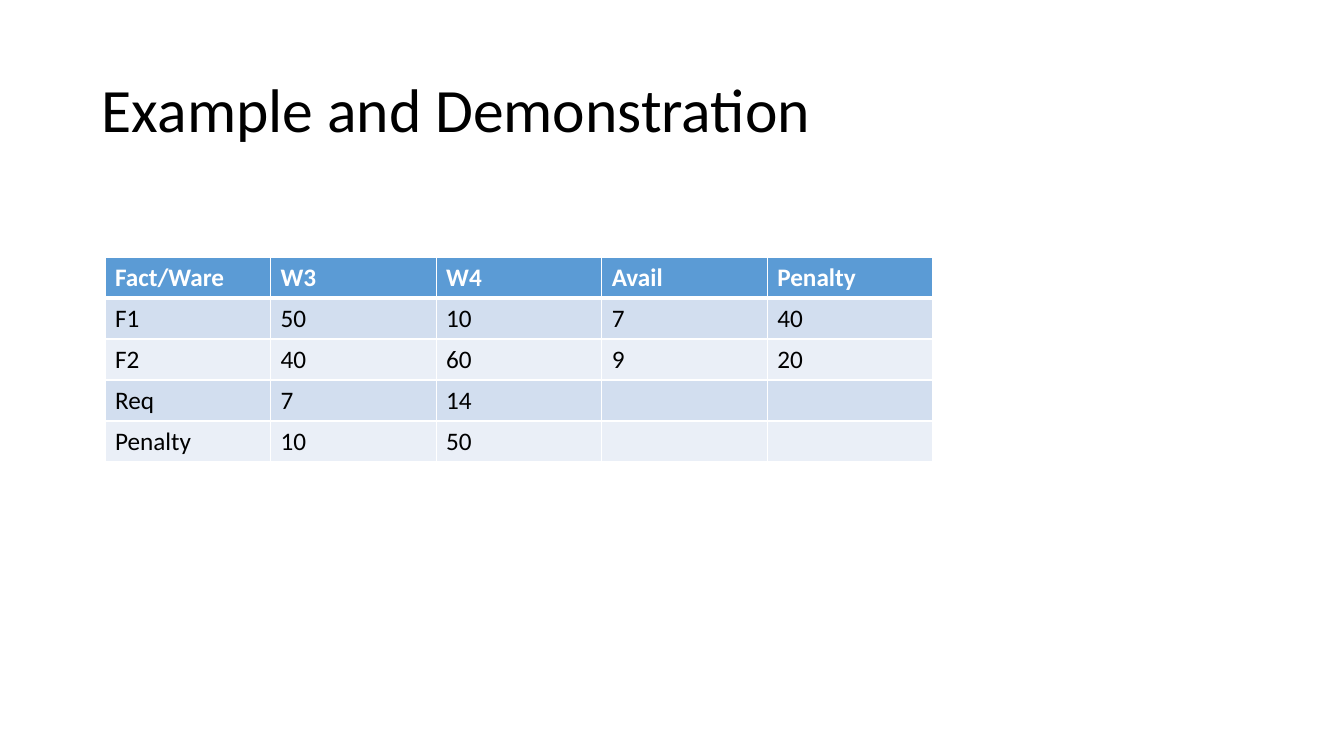
from lxml import etree
from pptx import Presentation, util as u
from pptx.dml import color
from pptx.enum import text
from pptx.oxml import ns

COLORS = {
    "ink": "000000",
    "paper": "FFFFFF",
    "header": "5B9BD5",
    "odd": "D2DEEF",
    "even": "EAEFF7",
}
PX = 914400 / 100.8
ROWS = [
    ["Fact/Ware", "W3", "W4", "Avail", "Penalty"],
    ["F1", "50", "10", "7", "40"],
    ["F2", "40", "60", "9", "20"],
    ["Req", "7", "14", "", ""],
    ["Penalty", "10", "50", "", ""],
]


def px(length):
    return u.Emu(round(length * PX))


def rgb(name):
    return color.RGBColor.from_string(COLORS[name])


class SlideBuilder:
    font_name = "Calibri"

    def __init__(self, presentation):
        self.slide = presentation.slides.add_slide(presentation.slide_layouts[6])

    def set_words(self, paragraph, words, ink, **formats):
        if words:
            paragraph.add_run().text = words
        for font in [paragraph.font] + [run.font for run in paragraph.runs]:
            font.color.rgb = rgb(ink)
            for name, value in {"name": self.font_name, **formats}.items():
                setattr(font, name, value)

    def title(self, words, left, top, width, height):
        shape = self.slide.shapes.add_textbox(*map(px, (left, top, width, height)))
        frame = shape.text_frame
        formats = {"word_wrap": True, "vertical_anchor": text.MSO_ANCHOR.MIDDLE}
        for name, value in formats.items():
            setattr(frame, name, value)
        paragraph = frame.paragraphs[0]
        paragraph.line_spacing = 0.9
        self.set_words(paragraph, words, "ink", size=u.Pt(44))

    def border(self, cell, side, points):
        properties = cell._tc.get_or_add_tcPr()
        line = etree.SubElement(properties, ns.qn(f"a:ln{side}"), w=str(u.Pt(points)))
        fill = etree.SubElement(line, ns.qn("a:solidFill"))
        etree.SubElement(fill, ns.qn("a:srgbClr"), val=COLORS["paper"])

    def table(self, rows, left, top, width, row_height):
        box = map(px, (left, top, width, row_height * len(rows)))
        table = self.slide.shapes.add_table(len(rows), len(rows[0]), *box).table
        for row_index, row in enumerate(rows):
            is_header = row_index == 0
            band = "header" if is_header else "odd" if row_index % 2 else "even"
            ink = "paper" if is_header else "ink"
            widths = {"L": 1, "R": 1, "T": 3 if row_index == 1 else 1, "B": 3 if is_header else 1}
            for column_index, words in enumerate(row):
                cell = table.cell(row_index, column_index)
                for side, points in widths.items():
                    self.border(cell, side, points)
                cell.fill.solid()
                cell.fill.fore_color.rgb = rgb(band)
                paragraph = cell.text_frame.paragraphs[0]
                self.set_words(paragraph, words, ink, size=u.Pt(18), bold=is_header)


def main():
    presentation = Presentation()
    presentation.slide_width, presentation.slide_height = px(1344), px(756)
    builder = SlideBuilder(presentation)
    builder.title("Example and Demonstration", 92, 40, 1159, 146)
    builder.table(ROWS, 105, 257, 828, 41)
    presentation.save("out.pptx")


if __name__ == "__main__":
    main()
